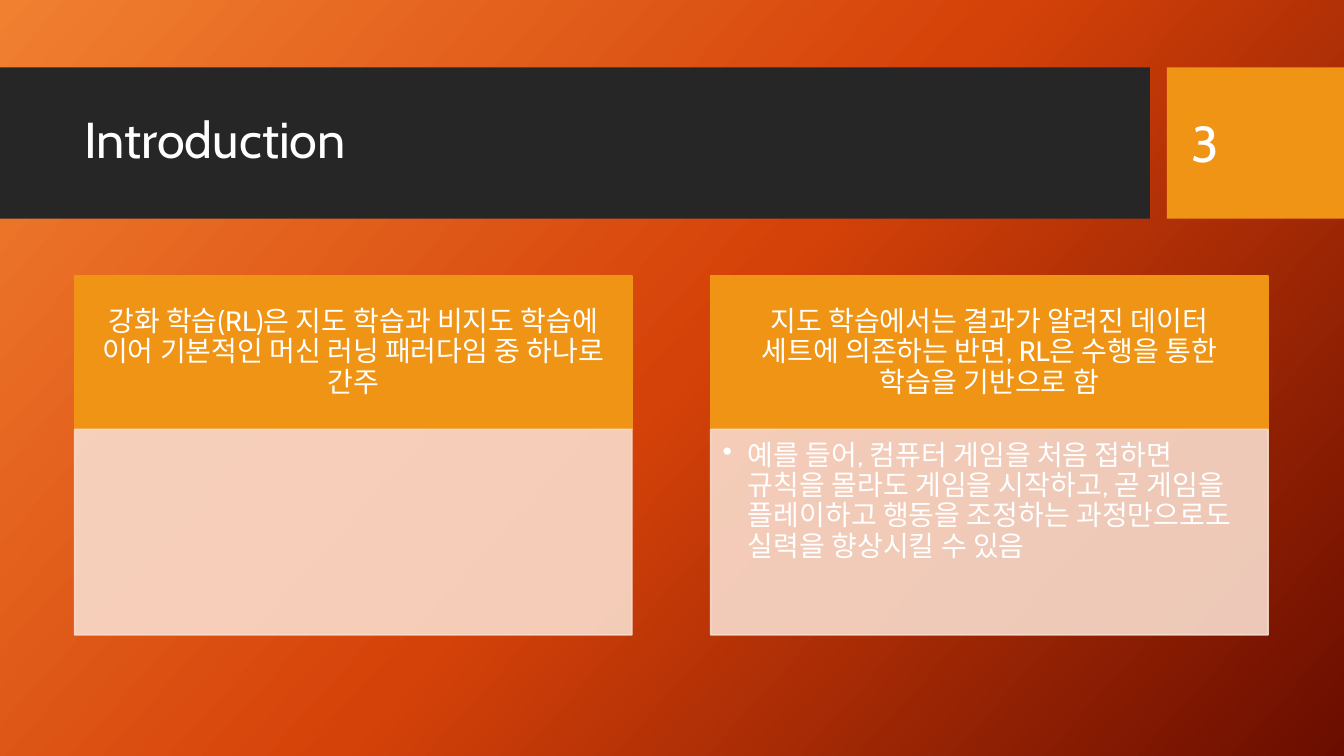
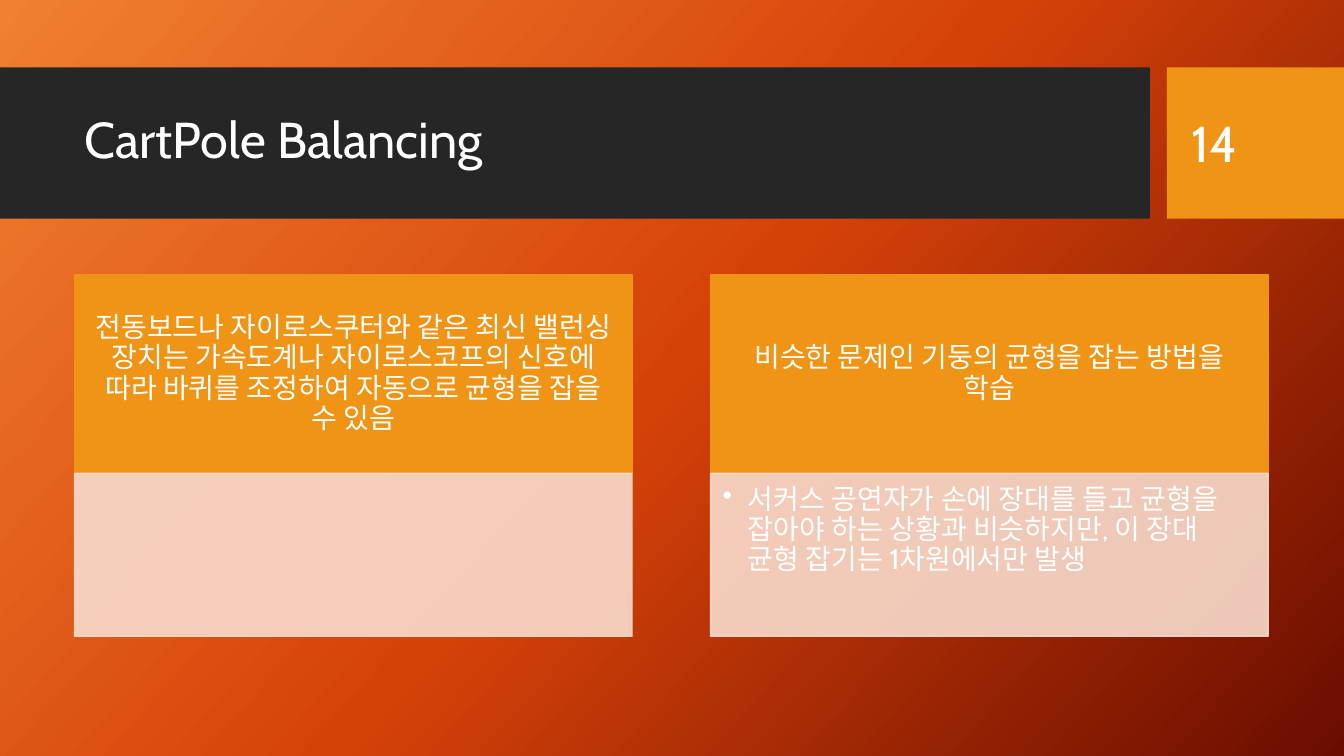
from copy import deepcopy

from lxml.etree import SubElement
from pptx import Presentation
from pptx.dml.color import RGBColor
from pptx.enum.shapes import MSO_SHAPE
from pptx.enum.text import MSO_ANCHOR, MSO_AUTO_SIZE, PP_ALIGN
from pptx.oxml.ns import qn
from pptx.util import Cm, Pt

# Content: each card is a heading and an optional bullet
SLIDES = [
    {
        "title": "Introduction", "number": "3", "heights": (3.86, 5.18),
        "cards": [
            ("강화 학습(RL)은 지도 학습과 비지도 학습에 이어 기본적인 머신 러닝 패러다임 중 하나로 간주", ""),
            ("지도 학습에서는 결과가 알려진 데이터 세트에 의존하는 반면, RL은 수행을 통한 학습을 기반으로 함",
             "예를 들어, 컴퓨터 게임을 처음 접하면 규칙을 몰라도 게임을 시작하고, 곧 게임을 "
             "플레이하고 행동을 조정하는 과정만으로도 실력을 향상시킬 수 있음"),
        ],
    },
    {
        "title": "CartPole Balancing", "number": "14", "heights": (5, 4.11),
        "cards": [
            ("전동보드나 자이로스쿠터와 같은 최신 밸런싱 장치는 가속도계나 자이로스코프의 신호에 "
             "따라 바퀴를 조정하여 자동으로 균형을 잡을 수 있음", ""),
            ("비슷한 문제인 기둥의 균형을 잡는 방법을 학습",
             "서커스 공연자가 손에 장대를 들고 균형을 잡아야 하는 상황과 비슷하지만, "
             "이 장대 균형 잡기는 1차원에서만 발생"),
        ],
    },
]

# Shared style, lengths in centimetres
COLORS = {"band": "262626", "accent": "F09415", "panel": "F9DCCC", "text": "FFFFFF"}
GRADIENT = [(0, "F18031"), (0.5, "D54209"), (1, "6A0D00")]
GRADIENT_ANGLE = 42
FONT = "Cabin"
SLIDE_W, SLIDE_H = 33.87, 19.05
BAND_TOP, BAND_H, BAND_W = 1.7, 3.81, 28.98
NUMBER_LEFT = 29.41
MARGIN, CARD_W, CARD_GAP = 1.88, 14.05, 1.98
CARDS_MIDDLE = 11.48
HEAD_INSETS = (0.5, 0.23, 0.5, 0.23)
BULLET_INSETS = (0.3, 0.3, 0.4, 0.43)
BULLET_INDENT = 0.64


def write(box, text, size=20, align=PP_ALIGN.LEFT, anchor=MSO_ANCHOR.MIDDLE,
          insets=(0.25, 0.13, 0.25, 0.13), spacing=0.9, bullet=False):
    frame = box.text_frame
    frame.word_wrap = True
    frame.auto_size = MSO_AUTO_SIZE.NONE
    frame.vertical_anchor = anchor
    (frame.margin_left, frame.margin_top,
     frame.margin_right, frame.margin_bottom) = map(Cm, insets)
    paragraph = frame.paragraphs[0]
    paragraph.alignment = align
    paragraph.line_spacing = spacing
    run = paragraph.add_run()
    run.text = text
    run.font.name = FONT
    run.font.size = Pt(size)
    run.font.color.rgb = RGBColor.from_string(COLORS["text"])
    if bullet:
        properties = paragraph._p.get_or_add_pPr()
        properties.set("marL", str(Cm(BULLET_INDENT)))
        properties.set("indent", str(-Cm(BULLET_INDENT)))
        SubElement(properties, qn("a:buChar"), char="•")


def add_block(slide, color, left, top, width, height, outlined=False, opacity=100):
    block = slide.shapes.add_shape(
        MSO_SHAPE.RECTANGLE, Cm(left), Cm(top), Cm(width), Cm(height))
    block.shadow.inherit = False
    block.fill.solid()
    block.fill.fore_color.rgb = RGBColor.from_string(COLORS[color])
    if outlined:
        block.line.color.rgb = RGBColor.from_string(COLORS[color])
        block.line.width = Pt(1)
    else:
        block.line.fill.background()
    if opacity < 100:
        for tint in block._element.spPr.iter(qn("a:srgbClr")):
            SubElement(tint, qn("a:alpha"), val=str(opacity * 1000))
    return block


def paint_background(master):
    fill = master.background.fill
    fill.gradient()
    fill.gradient_angle = 360 - GRADIENT_ANGLE
    stop_list = master.element.find(".//" + qn("a:gsLst"))
    stop_list.append(deepcopy(stop_list[0]))
    for stop, (position, color) in zip(fill.gradient_stops, GRADIENT):
        stop.position = position
        stop.color.rgb = RGBColor.from_string(color)


def add_header(slide, title, number):
    add_block(slide, "band", 0, BAND_TOP, BAND_W, BAND_H)
    add_block(slide, "accent", NUMBER_LEFT, BAND_TOP, SLIDE_W - NUMBER_LEFT, BAND_H)
    heading = slide.shapes.title
    heading.left, heading.top, heading.width, heading.height = map(
        Cm, (MARGIN, 2.08, 26.7, 3))
    # Bring the title in front of its band
    slide.shapes._spTree.append(heading._element)
    write(heading, title, size=36)
    number_box = slide.shapes.add_textbox(Cm(29.79), Cm(2.08), Cm(3.2), Cm(3.02))
    write(number_box, number, size=36, spacing=1)


def add_cards(slide, cards, heights):
    head_h, panel_h = heights
    top = CARDS_MIDDLE - (head_h + panel_h) / 2
    for column, (heading, detail) in enumerate(cards):
        left = MARGIN + column * (CARD_W + CARD_GAP)
        head = add_block(slide, "accent", left, top, CARD_W, head_h, outlined=True)
        write(head, heading, align=PP_ALIGN.CENTER, insets=HEAD_INSETS)
        panel = add_block(slide, "panel", left, top + head_h, CARD_W, panel_h,
                          outlined=True, opacity=90)
        if detail:
            write(panel, detail, anchor=MSO_ANCHOR.TOP, insets=BULLET_INSETS, bullet=True)


def main():
    deck = Presentation()
    deck.slide_width, deck.slide_height = Cm(SLIDE_W), Cm(SLIDE_H)
    paint_background(deck.slide_master)
    title_only = deck.slide_layouts[5]
    for content in SLIDES:
        slide = deck.slides.add_slide(title_only)
        add_header(slide, content["title"], content["number"])
        add_cards(slide, content["cards"], content["heights"])
    deck.save("out.pptx")


if __name__ == "__main__":
    main()
